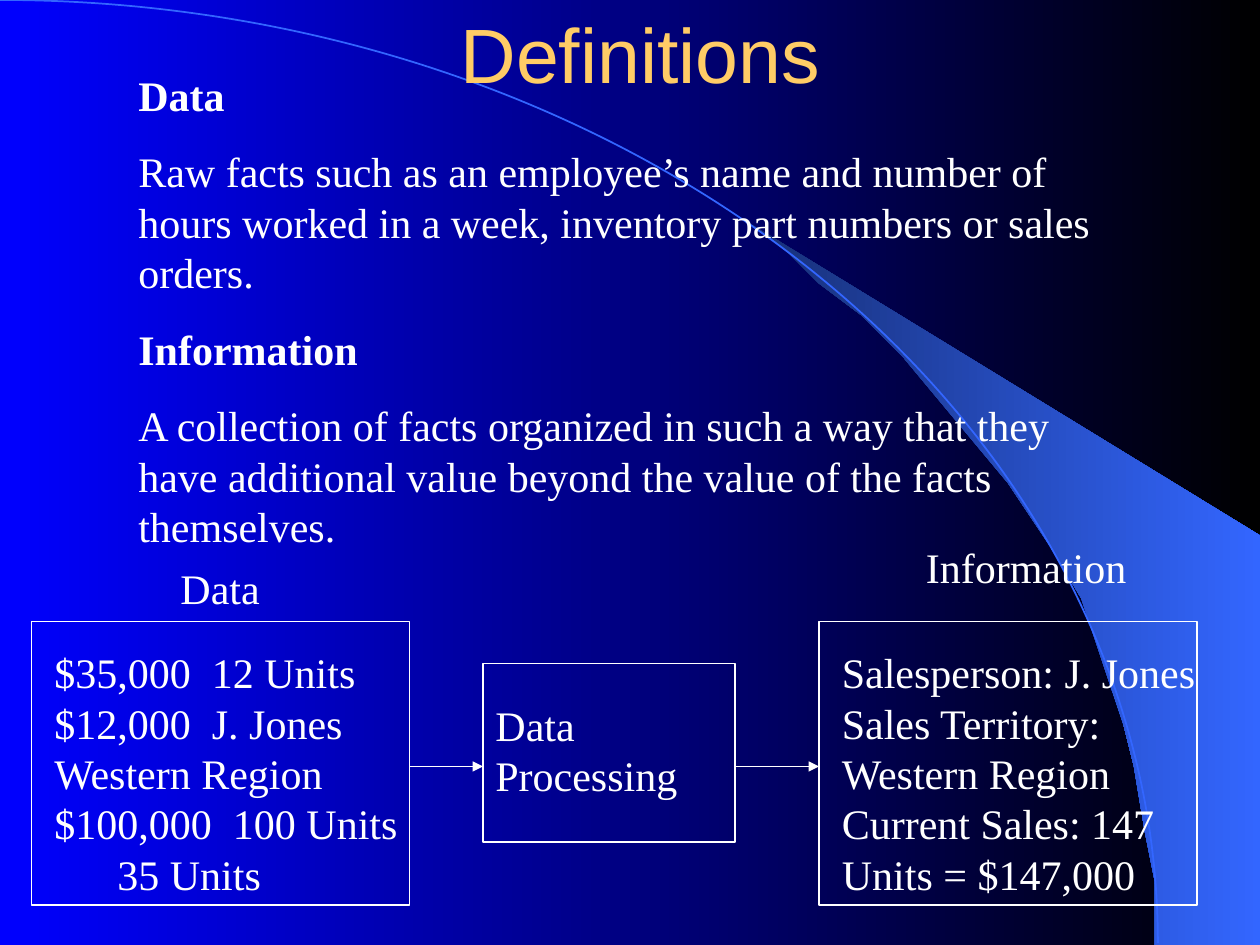
from lxml.etree import SubElement
from pptx import Presentation
from pptx.dml.color import RGBColor
from pptx.enum.shapes import MSO_CONNECTOR as Connector, MSO_SHAPE as Shape
from pptx.enum.text import MSO_ANCHOR as Anchor, PP_ALIGN as Align
from pptx.oxml.ns import qn
from pptx.util import Inches, Pt

COLORS = {
    "blue": "0000FF",
    "black": "000000",
    "shade": "172F75",
    "glow": "3366FF",
    "title": "FFCC66",
    "text": "FFFFFF",
}
COLUMNS, ROWS = 120, 90
UNIT = Inches(10) / COLUMNS

BEAM = [
    (9.19, 7.48), (9.98, 7.48), (9.98, 4.23), (5.89, 1.73), (6.24, 1.99),
    (6.53, 2.22), (6.85, 2.5), (7.16, 2.8), (7.62, 3.3), (8.02, 3.84),
    (8.32, 4.3), (8.58, 4.79), (8.78, 5.27), (8.93, 5.71), (9.03, 6.09),
    (9.12, 6.55), (9.17, 6.96),
]
DEFINITIONS = [
    ("Data", True),
    ("Raw facts such as an employee’s name and number of hours worked in a week, "
     "inventory part numbers or sales orders.", False),
    ("Information", True),
    ("A collection of facts organized in such a way that they have additional value "
     "beyond the value of the facts themselves.", False),
]
RAW_FACTS = ("$35,000  12 Units\v$12,000  J. Jones\vWestern Region\v"
             "$100,000  100 Units\v\t35 Units")
REPORT = ("Salesperson: J. Jones\vSales Territory:\vWestern Region\v"
          "Current Sales: 147\vUnits = $147,000")


def color(name):
    return RGBColor.from_string(COLORS[name])


def grid(*lengths):
    return [round(length * UNIT) for length in lengths]


def shade(fill, start, end):
    fill.gradient()
    fill.gradient_angle = 0
    for stop, position, name in zip(fill.gradient_stops, (0, 1), (start, end)):
        stop.position = position
        stop.color.rgb = color(name)


def outline(shape, name, width):
    shape.line.color.rgb = color(name)
    shape.line.width = Pt(width)


def add_text(page, box, paragraphs, font="Times New Roman", size=24, ink="text",
             align=Align.LEFT, anchor=Anchor.TOP, before=15):
    frame = page.shapes.add_textbox(*grid(*box)).text_frame
    frame.word_wrap = True
    frame.vertical_anchor = anchor
    for index, (text, bold) in enumerate(paragraphs):
        para = frame.add_paragraph() if index else frame.paragraphs[0]
        para.text = text
        para.alignment = align
        para.space_before = Pt(before)
        for span in para.runs:
            span.font.name = font
            span.font.size = Pt(size)
            span.font.bold = bold
            span.font.color.rgb = color(ink)


def add_outline_shape(page, kind, box, name, width):
    shape = page.shapes.add_shape(kind, *grid(*box))
    shape.shadow.inherit = False
    shape.fill.background()
    outline(shape, name, width)


def add_backdrop(page, box):
    left, top, width, height = box
    shade(page.background.fill, "blue", "black")
    points = [(left + x * 12, top + y * 12) for x, y in BEAM]
    builder = page.shapes.build_freeform(*points[0], scale=UNIT)
    builder.add_line_segments(points[1:])
    beam = builder.convert_to_shape()
    beam.shadow.inherit = False
    beam.line.fill.background()
    shade(beam.fill, "shade", "glow")
    radius_x, radius_y = width * 0.919, height * 0.998
    add_outline_shape(page, Shape.ARC,
                      (left - radius_x, top, 2 * radius_x, 2 * radius_y), "glow", 1)


def add_stage(page, box, text, inset, text_size, label=None, label_box=None):
    left, top, _, _ = box
    add_outline_shape(page, Shape.RECTANGLE, box, "text", 0.75)
    add_text(page, (left + inset[0], top + inset[1], *text_size), [(text, False)])
    if label:
        shift_x, shift_y, width, height = label_box
        add_text(page, (left + shift_x, top + shift_y, width, height), [(label, False)])


def add_arrow(page, start, end, row):
    arrow = page.shapes.add_connector(Connector.STRAIGHT, *grid(start, row, end, row))
    outline(arrow, "text", 0.75)
    SubElement(arrow.line._get_or_add_ln(), qn("a:tailEnd"), type="triangle")
    SubElement(arrow._element.spPr, qn("a:effectLst"))


def add_flow(page, box):
    left, top, width, height = box
    side = 36
    middle, middle_width = left + 43, 24
    right = left + width - side
    add_stage(page, (left, top, side, height), RAW_FACTS, (1, 1.8), (37, 25.2),
              "Data", (13, -6.2, 14, 6))
    add_stage(page, (middle, top + 4, middle_width, 17), "Data\vProcessing",
              (0, 2.8), (22, 10.8))
    add_stage(page, (right, top, side, height), REPORT, (1, 1.8), (37, 25.2),
              "Information", (9, -8.2, 23, 6))
    for start, end in ((left + side, middle), (middle + middle_width, right)):
        add_arrow(page, start, end, top + 13.8)


def main():
    deck = Presentation()
    deck.slide_width, deck.slide_height = grid(COLUMNS, ROWS)
    page = deck.slides.add_slide(deck.slide_layouts[6])
    add_backdrop(page, (0, 0, COLUMNS, ROWS))
    add_text(page, (10, 0, 102, 10), [("Definitions", False)], font="Arial", size=44,
             ink="title", align=Align.CENTER, anchor=Anchor.MIDDLE, before=0)
    add_text(page, (12, 6, 96, 47.6), DEFINITIONS)
    add_flow(page, (3, 59.2, 111, 27))
    deck.save("out.pptx")


if __name__ == "__main__":
    main()
